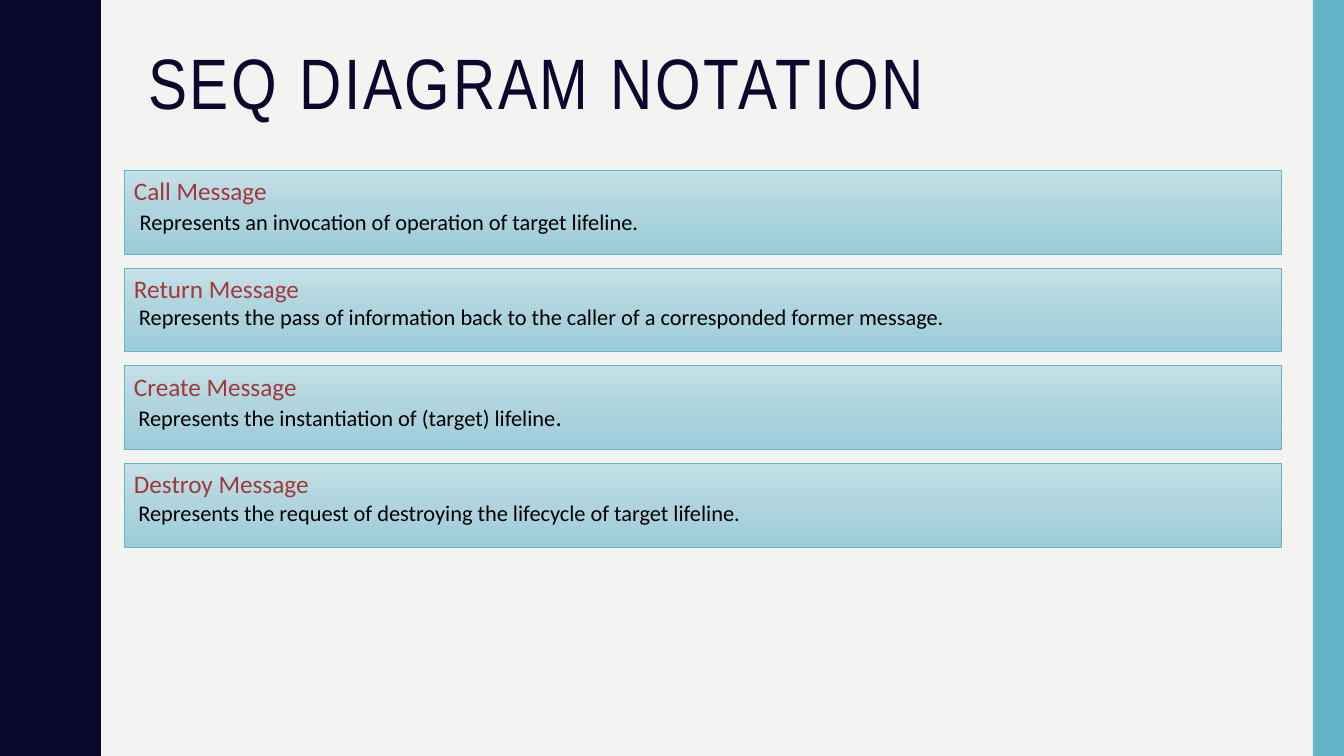
"""Build the sequence diagram notation slide with four message cards."""
from copy import deepcopy

from pptx import Presentation
from pptx.dml.color import RGBColor
from pptx.enum import shapes, text
from pptx.util import Inches, Pt

NAVY = RGBColor(0x0B, 0x08, 0x2E)
TEAL = RGBColor(0x62, 0xB4, 0xC6)
PAPER = RGBColor(0xF3, 0xF3, 0xF2)
RED = RGBColor(0xA2, 0x39, 0x39)
BLACK = RGBColor(0, 0, 0)
CARD_STOPS = [(0, RGBColor(0xC6, 0xE0, 0xE8)),
              (0.5, RGBColor(0xAE, 0xD4, 0xDE)),
              (1, RGBColor(0x9D, 0xCD, 0xDA))]

HALF_WAVE = [(0.78, 0), (0.78, 0.07), (0.79, 0.14), (0.8, 0.2), (0.81, 0.25),
             (0.83, 0.29), (0.85, 0.33), (0.87, 0.38), (0.89, 0.42),
             (0.91, 0.46), (0.93, 0.5), (0.95, 0.55), (0.96, 0.61),
             (0.97, 0.68), (0.97, 0.75)]
WAVE_HEIGHT, WAVE_COUNT = 1.5, 5

CARD_LEFT, CARD_TOP, CARD_STEP = 1.23, 1.69, 0.97
CARD_WIDTH, CARD_HEIGHT = 11.48, 0.83
MESSAGES = [
    ("Call Message", 10.55, 0.71,
     [(" ", 18),
      ("Represents an invocation of operation of target lifeline.", 16)]),
    ("Return Message", 10.98, 0.67,
     [(" Represents the pass of information back to the caller of a "
       "corresponded former message.", 16)]),
    ("Create Message", 10.98, 0.71,
     [(" ", 14), ("Represents the instantiation of (target) lifeline", 16),
      (".", 18)]),
    ("Destroy Message", 10.98, 0.67,
     [(" ", 14),
      ("Represents the request of destroying the lifecycle of target "
       "lifeline.", 16)]),
]


def add_run(p, words, size, color, name="Calibri"):
    r = p.add_run()
    r.text = words
    for key, value in {"size": Pt(size), "name": name, "bold": False}.items():
        setattr(r.font, key, value)
    r.font.color.rgb = color
    return r


prs = Presentation()
prs.slide_width, prs.slide_height = Inches(13.33), Inches(7.5)
s = prs.slides.add_slide(prs.slide_layouts[5])
s.background.fill.solid()
s.background.fill.fore_color.rgb = PAPER

period = HALF_WAVE + [(x, WAVE_HEIGHT - y) for x, y in HALF_WAVE[-2::-1]]
edge = [(x, y + n * WAVE_HEIGHT) for n in range(WAVE_COUNT) for x, y in period]
builder = s.shapes.build_freeform(0, 0, scale=Inches(1))
builder.add_line_segments(edge + [(0, 7.5)], close=True)
wave = builder.convert_to_shape()
bar = s.shapes.add_shape(shapes.MSO_SHAPE.RECTANGLE, Inches(13.02), 0,
                         Inches(0.31), Inches(7.5))
for sp, color in ((wave, NAVY), (bar, TEAL)):
    sp.shadow.inherit = False
    sp.fill.solid()
    sp.fill.fore_color.rgb = color
    sp.line.fill.background()

title = s.shapes.title
frame = {"left": 1.37, "top": 0.42, "width": 11.13, "height": 1.63}
for key, value in frame.items():
    setattr(title, key, Inches(value))
tf = title.text_frame
tf.auto_size = text.MSO_AUTO_SIZE.NONE
tf.vertical_anchor = text.MSO_ANCHOR.TOP
p = tf.paragraphs[0]
p.alignment = text.PP_ALIGN.LEFT
p.line_spacing = 0.9
r = add_run(p, "SEQ DIAGRAM NOTATION", 51, NAVY, "Arial Narrow")
r.font._element.set("spc", "200")

for i, (heading, width, height, parts) in enumerate(MESSAGES):
    left, top = Inches(CARD_LEFT), Inches(CARD_TOP + i * CARD_STEP)
    card = s.shapes.add_shape(shapes.MSO_SHAPE.RECTANGLE, left, top,
                              Inches(CARD_WIDTH), Inches(CARD_HEIGHT))
    card.shadow.inherit = False
    card.line.color.rgb = TEAL
    card.line.width = Pt(0.5)
    card.fill.gradient()
    card.fill.gradient_angle = 270
    first = card.fill.gradient_stops[0]._gs
    first.addnext(deepcopy(first))
    for stop, (position, color) in zip(card.fill.gradient_stops, CARD_STOPS):
        stop.position = position
        stop.color.rgb = color

    box = s.shapes.add_textbox(left, top, Inches(width), Inches(height))
    tf = box.text_frame
    tf.word_wrap = True
    tf.auto_size = text.MSO_AUTO_SIZE.SHAPE_TO_FIT_TEXT
    add_run(tf.paragraphs[0], heading, 18, RED)
    p = tf.add_paragraph()
    for words, size in parts:
        add_run(p, words, size, BLACK)

prs.save("out.pptx")
